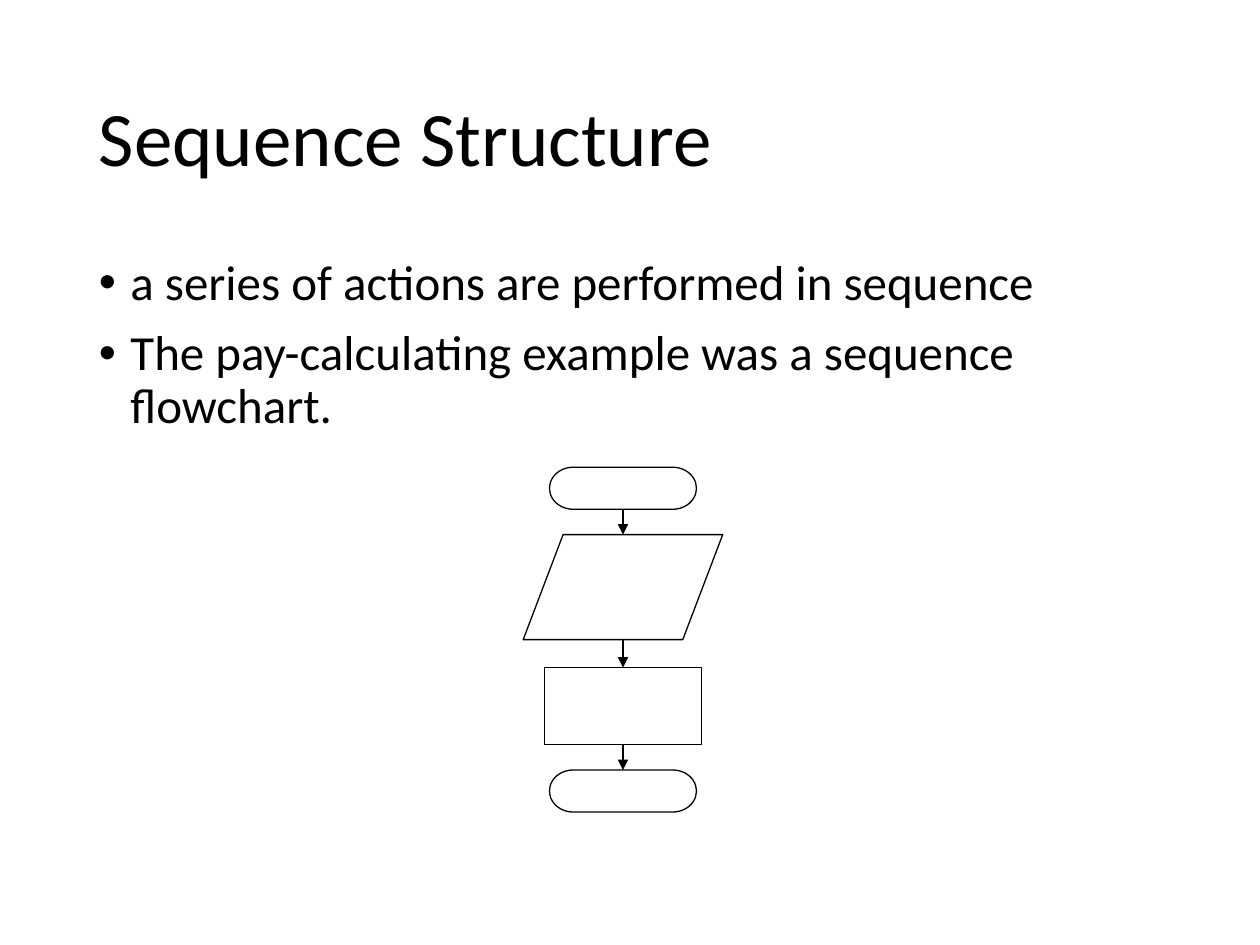
from dataclasses import dataclass
from typing import Optional

from lxml.etree import SubElement
from pptx import Presentation
from pptx.dml.color import RGBColor
from pptx.enum.shapes import MSO_CONNECTOR as Link, MSO_SHAPE as Kind
from pptx.enum.text import MSO_ANCHOR as Anchor
from pptx.oxml.ns import qn
from pptx.util import Pt

BLACK = "000000"
FONT = "Calibri"
MID = 356
TOP, BOTTOM = 0, 2


@dataclass
class Step:
    kind: Kind
    top: float
    width: float
    height: float
    joins: bool = True


@dataclass
class Block:
    top: float
    height: float
    size: float
    lines: list[str]
    anchor: Anchor = Anchor.TOP
    bullet: Optional[str] = None


BLOCKS = [
    Block(28.8, 104.4, 44, ["Sequence Structure"], Anchor.MIDDLE),
    Block(144, 342.7, 28, [
        "a series of actions are performed in sequence",
        "The pay-calculating example was a sequence flowchart.",
    ], bullet="•"),
]
STEPS = [
    Step(Kind.FLOWCHART_TERMINATOR, 267, 84, 24),
    Step(Kind.FLOWCHART_DATA, 305.5, 114, 60, joins=False),
    Step(Kind.RECTANGLE, 381.5, 90, 44),
    Step(Kind.FLOWCHART_TERMINATOR, 440, 84, 24),
]


def paint(target, code: str) -> None:
    target.rgb = RGBColor.from_string(code)


def outline(shape) -> None:
    shape.line.width = Pt(0.75)
    shape.line.fill.solid()
    paint(shape.line.color, BLACK)


def write(slide, block: Block) -> None:
    box = slide.shapes.add_textbox(Pt(49.5), Pt(block.top), Pt(621), Pt(block.height))
    frame = box.text_frame
    frame.text = "\n".join(block.lines)
    frame.word_wrap = True
    frame.vertical_anchor = block.anchor
    for i, para in enumerate(frame.paragraphs):
        para.line_spacing = 0.9
        if i:
            para.space_before = Pt(10)
        if block.bullet:
            props = para._p.get_or_add_pPr()
            props.set("marL", str(Pt(18)))
            props.set("indent", str(Pt(-18)))
            SubElement(props, qn("a:buFont"), typeface="Arial")
            SubElement(props, qn("a:buChar"), char=block.bullet)
        for run in para.runs:
            run.font.name = FONT
            run.font.size = Pt(block.size)
            paint(run.font.color, BLACK)


def draw(slide, step: Step):
    shape = slide.shapes.add_shape(
        step.kind, Pt(MID - step.width / 2), Pt(step.top), Pt(step.width), Pt(step.height)
    )
    shape.shadow.inherit = False
    shape.fill.background()
    outline(shape)
    return shape


def link(slide, start: Step, end: Step, above, below) -> None:
    arrow = slide.shapes.add_connector(
        Link.STRAIGHT, Pt(MID), Pt(start.top + start.height), Pt(MID), Pt(end.top)
    )
    if start.joins:
        arrow.begin_connect(above, BOTTOM)
    if end.joins:
        arrow.end_connect(below, TOP)
    outline(arrow)
    SubElement(arrow.line._get_or_add_ln(), qn("a:tailEnd"), type="triangle")
    SubElement(arrow._element.spPr, qn("a:effectLst"))


def main() -> None:
    deck = Presentation()
    deck.slide_width, deck.slide_height = Pt(720), Pt(540)
    slide = deck.slides.add_slide(deck.slide_layouts[6])
    for block in BLOCKS:
        write(slide, block)
    shapes = [draw(slide, step) for step in STEPS]
    for start, end, above, below in zip(STEPS, STEPS[1:], shapes, shapes[1:]):
        link(slide, start, end, above, below)
    deck.save("out.pptx")


if __name__ == "__main__":
    main()
